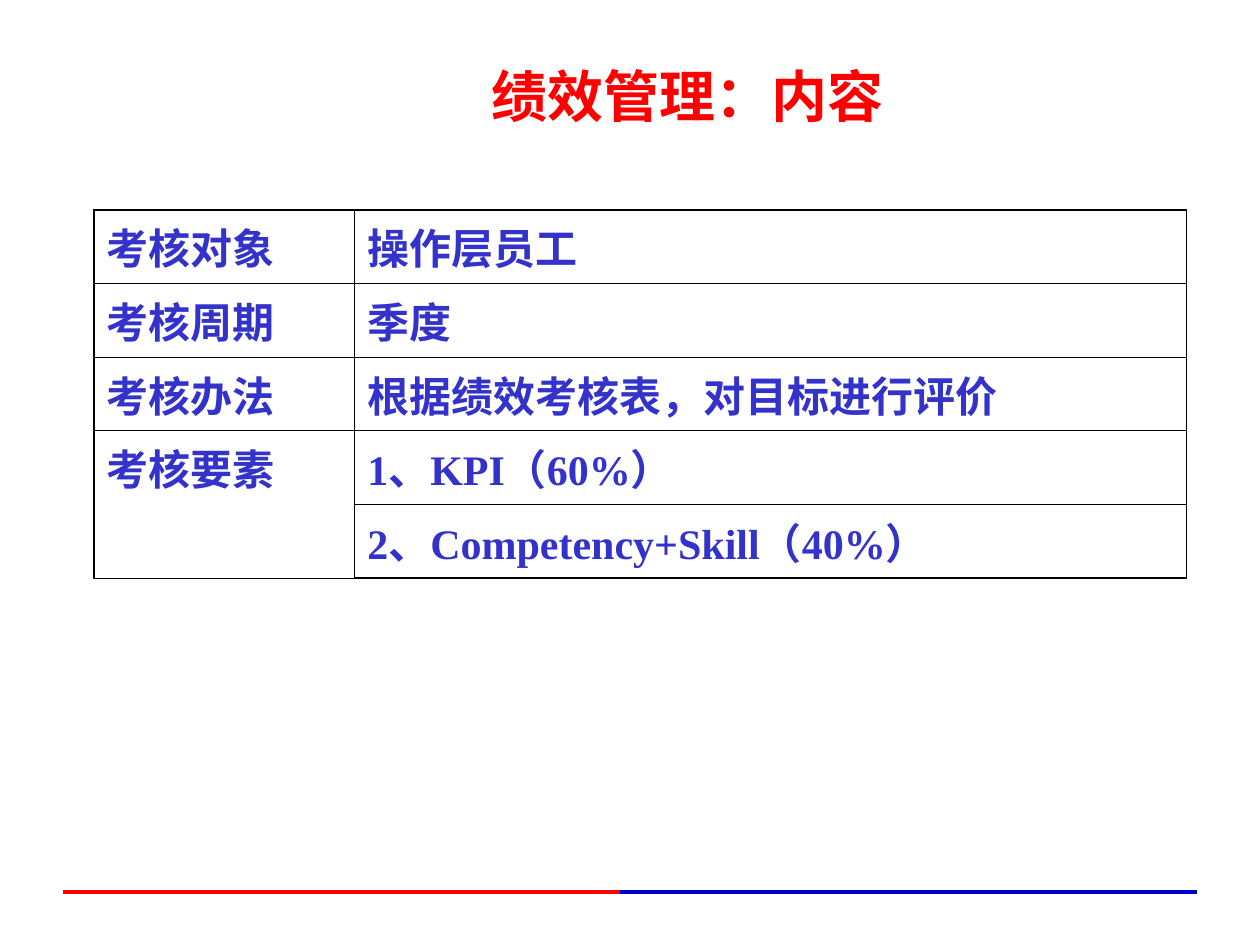
from lxml import etree
from pptx import Presentation
from pptx import util as u
from pptx.dml.color import RGBColor
from pptx.enum import shapes, text
from pptx.oxml import ns

ROWS = [
    ("考核对象", "操作层员工"),
    ("考核周期", "季度"),
    ("考核办法", "根据绩效考核表，对目标进行评价"),
    ("考核要素", "1、KPI（60%）"),
    ("", "2、Competency+Skill（40%）"),
]
TITLE_FONT = {"name": "Arial", "size": u.Pt(32), "bold": True}
CELL_FONT = {"name": "Times New Roman", "size": u.Pt(24), "bold": True}
OUTER, INNER = u.Pt(1.08), u.Pt(0.45)


def colour(value):
    """Turn a hex string into a colour."""
    return RGBColor.from_string(value)


def add_span(para, words, font, ink):
    """Add one formatted run to a paragraph."""
    span = para.add_run()
    span.text = words
    for name, value in font.items():
        setattr(span.font, name, value)
    span.font.color.rgb = colour(ink)
    return span


def add_shadow(span):
    """Give the letters of a run a small grey shadow."""
    effects = etree.Element(ns.qn("a:effectLst"))
    shadow = etree.SubElement(effects, ns.qn("a:outerShdw"), dist="38100", dir="2700000")
    etree.SubElement(shadow, ns.qn("a:srgbClr"), val="C0C0C0")
    span.font._element.find(ns.qn("a:solidFill")).addnext(effects)


def add_title(page, left, top, width, height):
    """Place the centred heading."""
    box = page.shapes.add_textbox(left, top, width, height)
    box.text_frame.word_wrap = True
    box.text_frame.auto_size = text.MSO_AUTO_SIZE.SHAPE_TO_FIT_TEXT
    para = box.text_frame.paragraphs[0]
    para.alignment = text.PP_ALIGN.CENTER
    para.line_spacing = 1.2
    add_shadow(add_span(para, "绩效管理：内容", TITLE_FONT, "FF0000"))


def set_borders(cell, widths):
    """Draw black borders of the given widths on the sides of a cell."""
    properties = cell._tc.get_or_add_tcPr()
    for index, (side, width) in enumerate(widths.items()):
        line = etree.Element(ns.qn(f"a:ln{side}"), w=str(int(width)))
        fill = etree.SubElement(line, ns.qn("a:solidFill"))
        etree.SubElement(fill, ns.qn("a:srgbClr"), val="000000")
        properties.insert(index, line)


def add_review_table(page, left, top, width, height):
    """Place the appraisal table with a heavier outer frame."""
    last = len(ROWS) - 1
    table = page.shapes.add_table(len(ROWS), 2, left, top, width, height).table
    table.first_row = table.horz_banding = False
    table.columns[0].width = u.Cm(5.25)
    table.columns[1].width = width - u.Cm(5.25)
    for r, row in enumerate(ROWS):
        for c, words in enumerate(row):
            cell = table.cell(r, c)
            cell.fill.background()
            set_borders(cell, {
                "L": INNER if c else OUTER,
                "R": OUTER if c else INNER,
                "T": INNER if r else OUTER,
                "B": OUTER if r == last else INNER,
            })
            if words:
                add_span(cell.text_frame.paragraphs[0], words, CELL_FONT, "3333CC")
    table.cell(last - 1, 0).merge(table.cell(last, 0))


def add_footer_rule(page, left, top, width):
    """Place the red and blue rule along the foot of the page."""
    stops = [left, left + u.Cm(11.23), left + width]
    for start, end, ink in zip(stops, stops[1:], ("FF0000", "0000CC")):
        rule = page.shapes.add_connector(shapes.MSO_CONNECTOR.STRAIGHT, start, top, end, top)
        rule.line.color.rgb = colour(ink)
        rule.line.width = u.Pt(2.25)
        etree.SubElement(rule._element.spPr, ns.qn("a:effectLst"))


def main():
    """Build the page and save the deck."""
    deck = Presentation()
    deck.slide_width, deck.slide_height = u.Cm(25.4), u.Cm(19.05)
    page = deck.slides.add_slide(deck.slide_layouts[6])
    add_footer_rule(page, u.Cm(1.27), u.Cm(17.98), u.Cm(22.86))
    add_review_table(page, u.Cm(1.9), u.Cm(4.23), u.Cm(22.02), u.Cm(7.42))
    add_title(page, u.Cm(5.08), u.Cm(0.84), u.Cm(17.58), u.Cm(1.88))
    deck.save("out.pptx")


if __name__ == "__main__":
    main()
